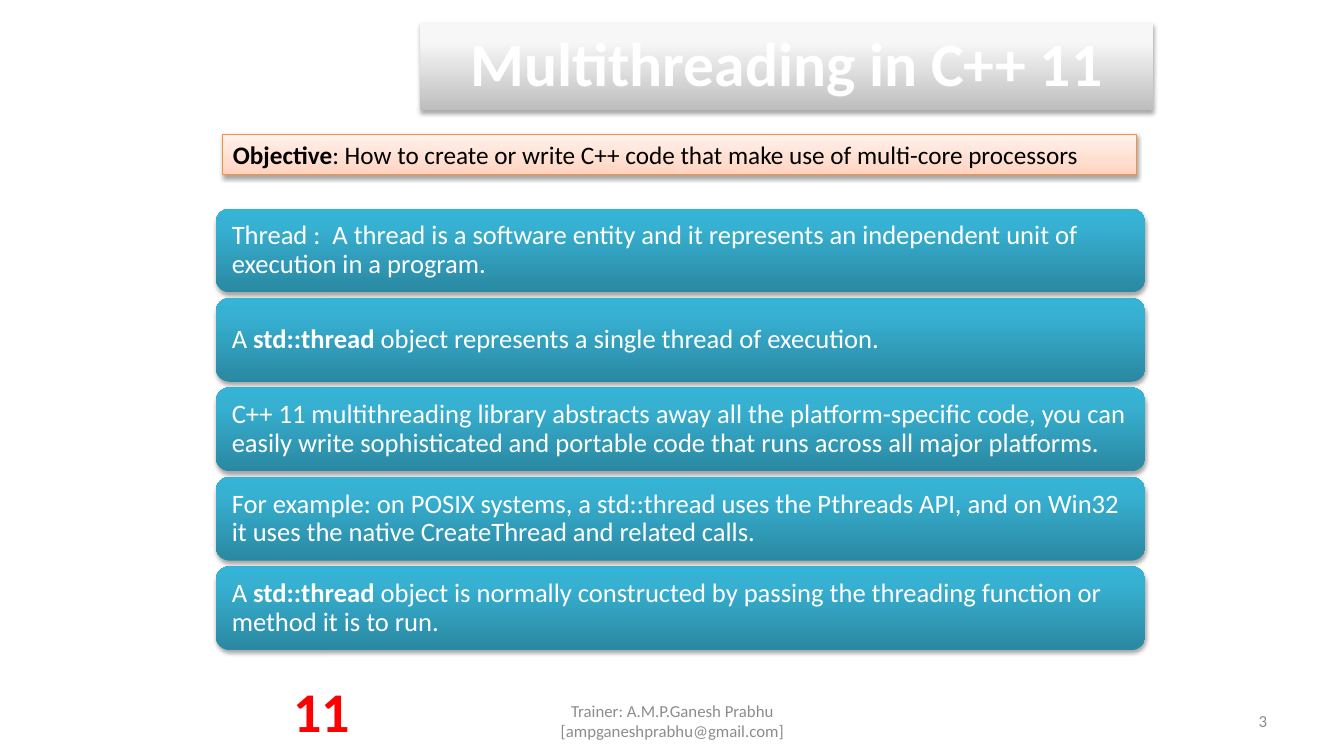
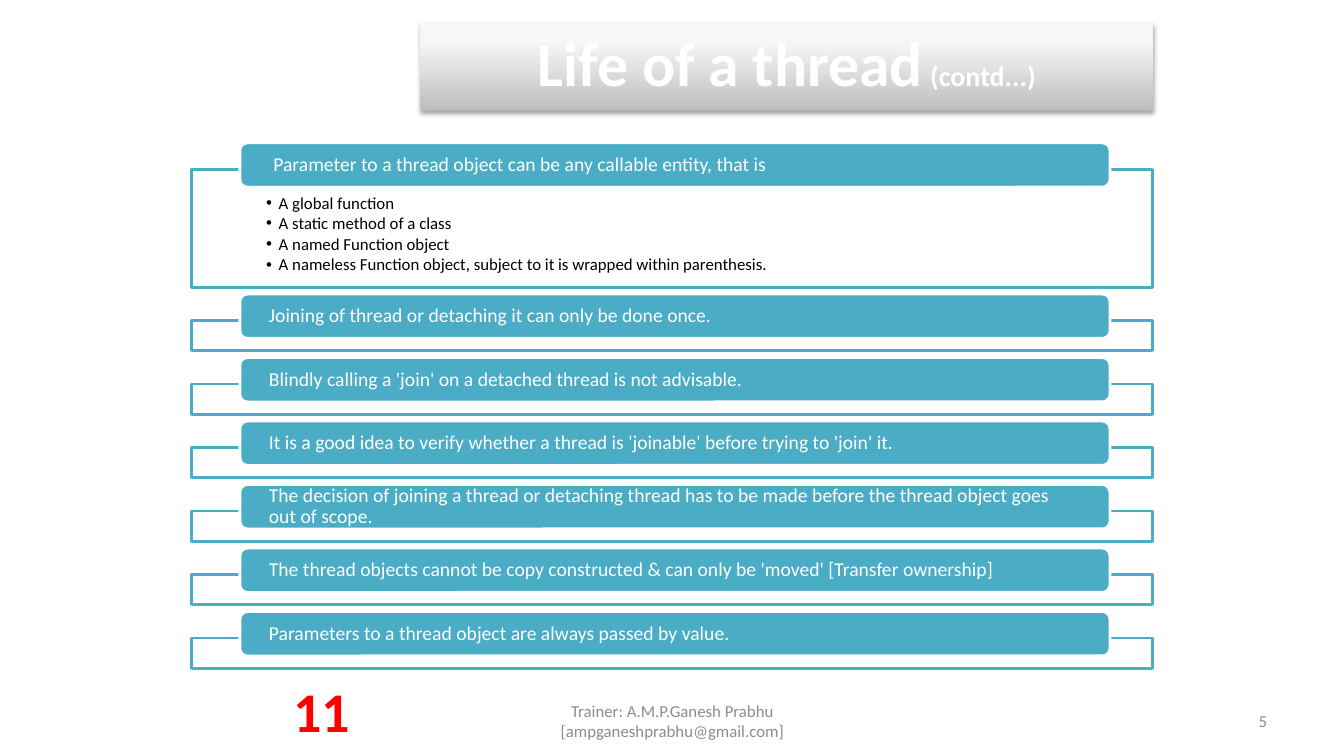
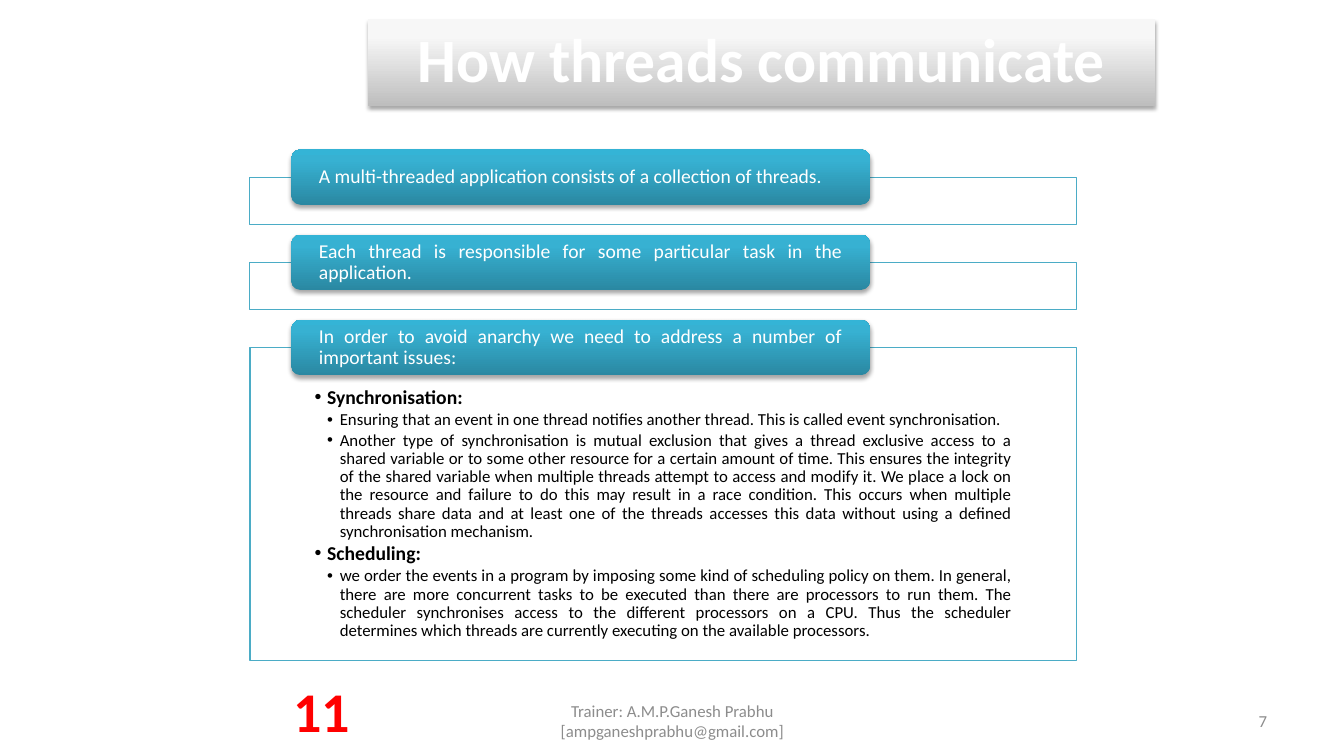
"""Build three slides on multithreading in C++ 11."""
from lxml import etree
from pptx import Presentation
from pptx.dml.color import RGBColor
from pptx.enum.shapes import MSO_SHAPE
from pptx.enum.text import MSO_ANCHOR, MSO_AUTO_SIZE, PP_ALIGN
from pptx.oxml import parse_xml
from pptx.oxml.ns import nsdecls, qn
from pptx.util import Inches, Pt

RECT, ROUND = MSO_SHAPE.RECTANGLE, MSO_SHAPE.ROUNDED_RECTANGLE
LEFT, MID, RIGHT, FULL = PP_ALIGN.LEFT, PP_ALIGN.CENTER, PP_ALIGN.RIGHT, PP_ALIGN.JUSTIFY
TOP, CENTRE = MSO_ANCHOR.TOP, MSO_ANCHOR.MIDDLE
FIXED = MSO_AUTO_SIZE.NONE

FACE = "Calibri"
WHITE, BLACK, RED, GREY, TEAL, AMBER = "FFFFFF", "000000", "FF0000", "8C8C8C", "4BACC6", "F69240"
SILVER = {0: "BEBEBE", 80: "F7F7F7", 100: "F8F8F8"}
BLUE = {0: "2A88A2", 80: "37B1D2", 100: "34B4D6"}
PEACH = {0: "FFD2BD", 35: "FFDED0", 100: "FFF2ED"}

deck = Presentation()
deck.slide_width, deck.slide_height = Inches(13.33), Inches(7.5)
col, row = deck.slide_width / 100, deck.slide_height / 100
rgb = RGBColor.from_string


def dress(shape, area, fill=None, edge=None, width=0, alpha=100):
    """Place a shape on the grid; a dict of stops gives a gradient and a shadow."""
    x, y, w, h = area
    shape.left, shape.top = int(x * col), int(y * row)
    shape.width, shape.height = int(w * col), int(h * row)
    if fill is None:
        return
    props = shape.element.spPr
    if shape.is_placeholder and isinstance(fill, dict):
        props.insert(1, parse_xml(f'<a:prstGeom {nsdecls("a")} prst="roundRect"><a:avLst/></a:prstGeom>'))
    shape.shadow.inherit = False
    if isinstance(fill, dict):
        stops = "".join(f'<a:gs pos="{pos * 1000}"><a:srgbClr val="{tone}"/></a:gs>' for pos, tone in fill.items())
        props.insert(2, parse_xml(
            f'<a:gradFill {nsdecls("a")} rotWithShape="1"><a:gsLst>{stops}</a:gsLst>'
            '<a:lin ang="16200000" scaled="0"/></a:gradFill>'))
        props.find(qn("a:effectLst")).append(parse_xml(
            f'<a:outerShdw {nsdecls("a")} blurRad="{Pt(3.1)}" dist="{Pt(1.8)}" dir="5400000" rotWithShape="0">'
            f'<a:srgbClr val="{BLACK}"><a:alpha val="35000"/></a:srgbClr></a:outerShdw>'))
    else:
        shape.fill.solid()
        shape.fill.fore_color.rgb = rgb(fill)
        if alpha < 100:
            tone = props.find(qn("a:solidFill")).find(qn("a:srgbClr"))
            etree.SubElement(tone, qn("a:alpha"), val=str(alpha * 1000))
    if edge:
        shape.line.color.rgb = rgb(edge)
        shape.line.width = Pt(width)
    else:
        shape.line.fill.background()


def write(shape, lines, tone, align=LEFT, pad=(0.75, 0.67, 0.67), after=0, anchor=CENTRE):
    """Write lines of (level, runs), each run being (text, size, bold)."""
    frame = shape.text_frame
    frame.word_wrap, frame.auto_size, frame.vertical_anchor = True, FIXED, anchor
    side, top, foot = pad
    frame.margin_left = frame.margin_right = int(side * col)
    frame.margin_top, frame.margin_bottom = int(top * row), int(foot * row)
    for n, (level, runs) in enumerate(lines):
        para = frame.paragraphs[0] if n == 0 else frame.add_paragraph()
        para.alignment, para.level = align, level
        para.line_spacing = 0.9 if after else 1.0
        para.space_before, para.space_after = Pt(0), Pt(runs[0][1] * after)
        if level:
            step = int(0.94 * col)
            props = para._p.get_or_add_pPr()
            props.set("marL", str(level * step))
            props.set("indent", str(-step))
            etree.SubElement(props, qn("a:buFont"), typeface="Arial")
            etree.SubElement(props, qn("a:buChar"), char="•")
        for text, size, bold in runs:
            run = para.add_run()
            run.text = text
            run.font.name, run.font.size, run.font.bold = FACE, Pt(size), bold
            run.font.color.rgb = rgb(tone)


WIDE = (31.28, 3.1, 54.54, 11.5)
heads = [
    (5, "3", WIDE, [("Multithreading in C++ 11", 44, True)]),
    (1, "5", WIDE, [("Life of a thread", 44, True), (" (contd...)", 20, True)]),
    (1, "7", (27.38, 2.5, 58.59, 11.5), [("How threads communicate", 44, True)]),
]
slides = []
for kind, page, area, runs in heads:
    slide = deck.slides.add_slide(deck.slide_layouts[kind])
    slides.append(slide)
    dress(slide.shapes.title, area, SILVER)
    write(slide.shapes.title, [(0, runs)], WHITE, MID, (1.65, 0, 0), 0.35)
    feet = [
        ("Trainer: A.M.P.Ganesh Prabhu [ampganeshprabhu@gmail.com]", 12, False, GREY, MID, (34.2, 92.7, 31.66, 5.3)),
        (page, 12, False, GREY, RIGHT, (71.7, 92.7, 23.33, 5.3)),
        ("11", 40, True, RED, MID, (21, 88.8, 5.85, 10.3)),
    ]
    for text, size, bold, tone, align, area in feet:
        note = slide.shapes.add_textbox(0, 0, 0, 0)
        dress(note, area)
        write(note, [(0, [(text, size, bold)])], tone, align)

intro = slides[0].shapes
goal = intro.add_shape(RECT, 0, 0, 0, 0)
dress(goal, (16.58, 17.73, 67.97, 5.4), PEACH, AMBER, 0.75)
write(goal, [(0, [
    ("Objective", 18, True),
    (": How to create or write C++ code that make use of multi-core processors", 18, False),
])], BLACK)

facts = [
    ["Thread :  A thread is a software entity and it represents an independent unit of execution in a program."],
    ["A ", "std::thread", " object represents a single thread of execution."],
    ["C++ 11 multithreading library abstracts away all the platform-specific code, you can easily write "
     "sophisticated and portable code that runs across all major platforms."],
    ["For example: on POSIX systems, a std::thread uses the Pthreads API, and on Win32 it uses the native "
     "CreateThread and related calls."],
    ["A ", "std::thread ", "object is normally constructed by passing the threading function or method it is to run."],
]
for n, parts in enumerate(facts):
    bar = intro.add_shape(ROUND, 0, 0, 0, 0)
    dress(bar, (16.05, 27.6 + n * 11.83, 69.17, 11.07), BLUE)
    write(bar, [(0, [(text, 19, k == 1) for k, text in enumerate(parts)])], WHITE, pad=(0.9, 0, 0), after=0.35)

rules = [
    " Parameter to a thread object can be any callable entity, that is",
    "Joining of thread or detaching it can only be done once.",
    "Blindly calling a 'join' on a detached thread is not advisable.",
    "It is a good idea to verify whether a thread is 'joinable' before trying to 'join' it.",
    "The decision of joining a thread or detaching thread has to be made before the thread object goes out of scope.",
    "The thread objects cannot be copy constructed & can only be 'moved' [Transfer ownership]",
    "Parameters to a thread object are always passed by value.",
]
kinds = [
    (1, "A global function"),
    (1, "A static method of a class"),
    (1, "A named Function object"),
    (1, "A nameless Function object, subject to it is wrapped within parenthesis."),
]
tasks = [
    "A multi-threaded application consists of a collection of threads.",
    "Each thread is responsible for some particular task in the application.",
    "In order to avoid anarchy we need to address a number of important issues:",
]
needs = [
    (1, "Synchronisation:"),
    (2, "Ensuring that an event in one thread notifies another thread. This is called event synchronisation."),
    (2, "Another type of synchronisation is mutual exclusion that gives a thread exclusive access to a shared "
        "variable or to some other resource for a certain amount of time. This ensures the integrity of the shared "
        "variable when multiple threads attempt to access and modify it. We place a lock on the resource and failure "
        "to do this may result in a race condition. This occurs when multiple threads share data and at least one of "
        "the threads accesses this data without using a defined synchronisation mechanism."),
    (1, "Scheduling:"),
    (2, "we order the events in a program by imposing some kind of scheduling policy on them. In general, there are "
        "more concurrent tasks to be executed than there are processors to run them. The scheduler synchronises "
        "access to the different processors on a CPU. Thus the scheduler determines which threads are currently "
        "executing on the available processors."),
]
plain = [(level, [(text, 12, False)]) for level, text in kinds]
mixed = [(level, [(text, 14 if level == 1 else 12, level == 1)]) for level, text in needs]

panels = [
    (slides[1], rules, plain, 0, LEFT, (14.25, 22.4, 71.49), (4, 15.6), 4.4, 2,
     (17.85, 3.5, 64.74, 5.87), (TEAL, WHITE, 2), 2, (5.55, 3.33, 1.2)),
    (slides[2], tasks, mixed, 2, FULL, (18.6, 23.47, 61.52), (6.27, 41.33), 5, 0.75,
     (21.68, 3.7, 43.06, 7.33), (BLUE,), 1.85, (4.8, 5.2, 1.5)),
]
for slide, labels, items, spot, align, start, sizes, gap, width, tab, style, side, pad in panels:
    x, y, w = start
    left, lift, wide, high = tab
    for n, text in enumerate(labels):
        tall = sizes[n == spot]
        panel = slide.placeholders[1] if n == spot else slide.shapes.add_shape(RECT, 0, 0, 0, 0)
        dress(panel, (x, y, w, tall), WHITE, TEAL, width, 90)
        if n == spot:
            write(panel, items, BLACK, align, pad, 0.15, TOP)
        label = slide.shapes.add_shape(ROUND, 0, 0, 0, 0)
        dress(label, (left, y - lift, wide, high), *style)
        write(label, [(0, [(text, 14, False)])], WHITE, align, (side, 0, 0), 0.35)
        y += tall + gap

deck.save("out.pptx")
